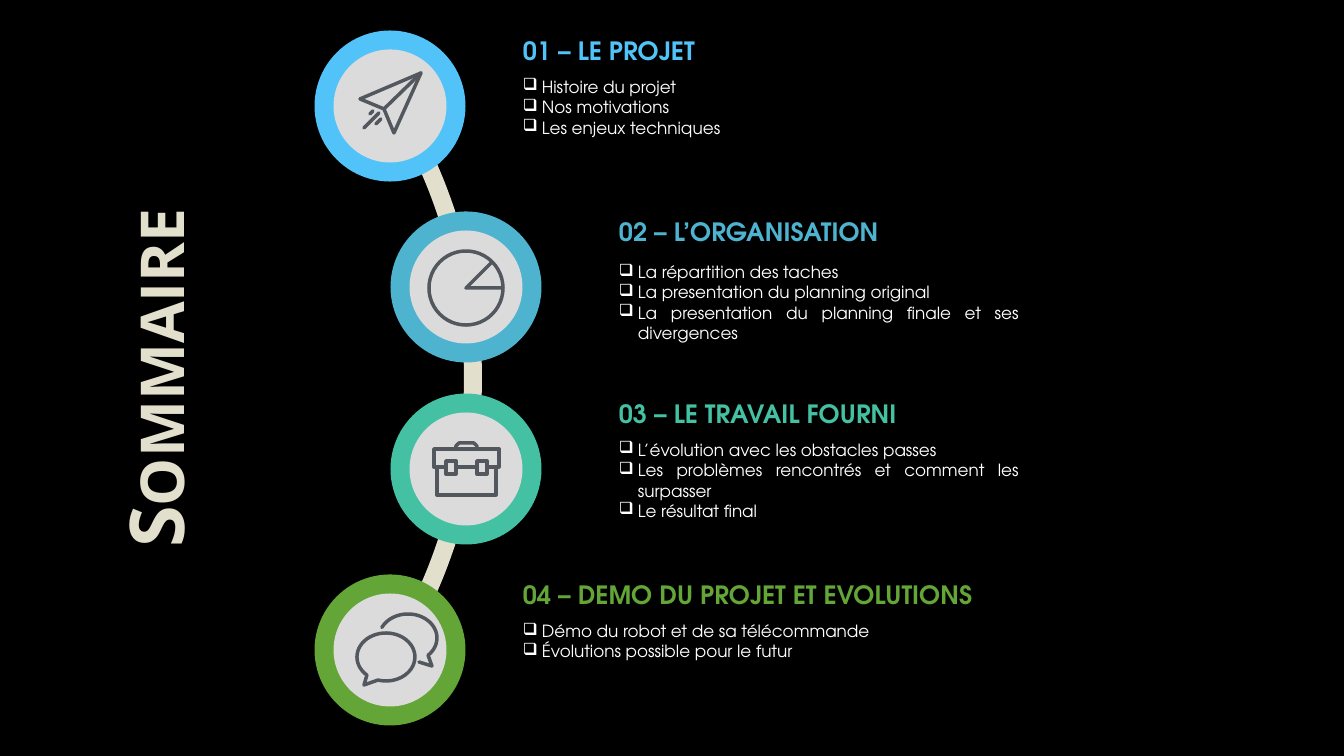
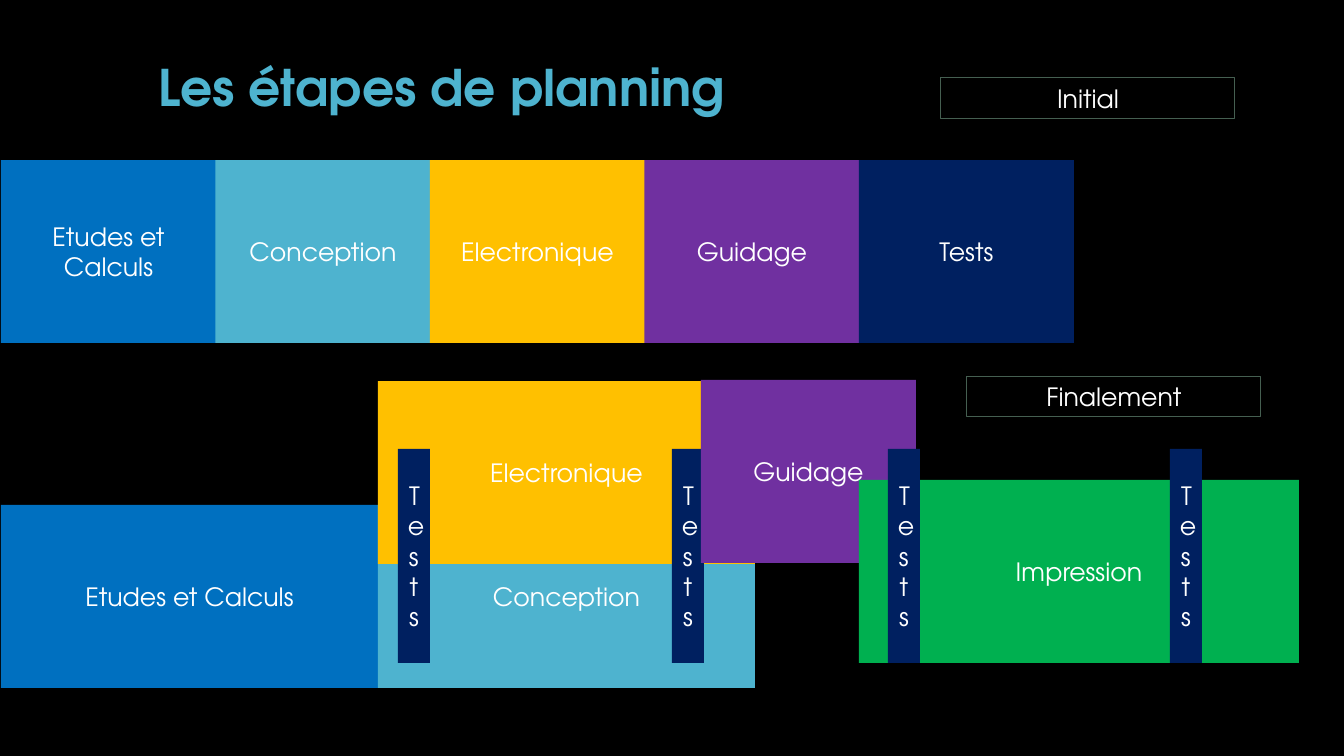
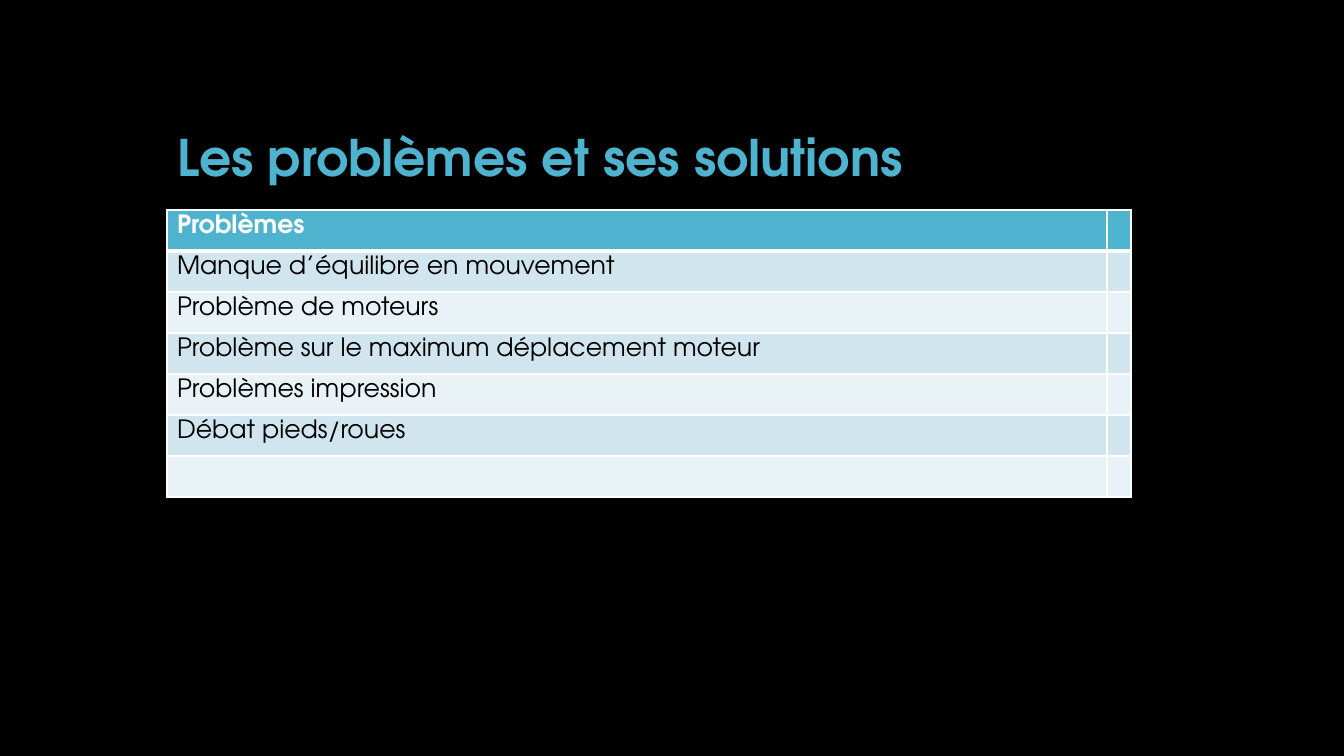
"""Build three dark slides: contents, planning steps, and a table of problems."""
from math import cos, radians, sin

from lxml.etree import SubElement
from pptx import Presentation
from pptx.dml.color import RGBColor
from pptx.enum.shapes import MSO_SHAPE as Shape
from pptx.enum.text import MSO_ANCHOR as Anchor, MSO_AUTO_SIZE as AutoSize, PP_ALIGN as Align
from pptx.oxml import parse_xml
from pptx.oxml.ns import nsdecls, qn
from pptx.util import Emu, Pt

BLACK = RGBColor(0x00, 0x00, 0x00)
WHITE = RGBColor(0xFF, 0xFF, 0xFF)
CREAM = RGBColor(0xE2, 0xDF, 0xCC)
SKY = RGBColor(0x51, 0xC3, 0xF9)
TEAL = RGBColor(0x4E, 0xB3, 0xCF)
MINT = RGBColor(0x44, 0xC1, 0xA3)
LEAF = RGBColor(0x63, 0xA5, 0x37)
DISC = RGBColor(0xDB, 0xDB, 0xDB)
ICON = RGBColor(0x53, 0x58, 0x5F)
BLUE = RGBColor(0x00, 0x70, 0xC0)
AMBER = RGBColor(0xFF, 0xC0, 0x00)
PURPLE = RGBColor(0x70, 0x30, 0xA0)
NAVY = RGBColor(0x00, 0x20, 0x60)
GREEN = RGBColor(0x00, 0xB0, 0x50)
LABEL_LINE = RGBColor(0x45, 0x5F, 0x51)
ROW_DARK = RGBColor(0xD0, 0xE5, 0xED)
ROW_LIGHT = RGBColor(0xE9, 0xF2, 0xF6)

FONT = "TeX Gyre Adventor"
TITLE_FONT = "Open Sans"
PX_PER_INCH = 100.8
SLIDE_W, SLIDE_H = 1344, 756
TITLE_ONLY = 5

RING_SIZE, DISC_SIZE = 151, 113
ARC_X, ARC_Y, ARC_INNER, ARC_OUTER = -50, 378, 514, 532
ARC_SPANS = [(-25, -17), (-3, 3), (17, 25)]


def arc(x, y, radius_x, radius_y, start, end, steps=48):
    angles = [radians(start + (end - start) * i / steps) for i in range(steps + 1)]
    return [(x + radius_x * cos(a), y + radius_y * sin(a)) for a in angles]


def box(left, top, right, bottom):
    return [(left, top), (right, top), (right, bottom), (left, bottom)]


PLANE = [
    ([(31, -33), (-30, -7), (-6, 3), (4, 27)], True),
    ([(-6, 3), (31, -33)], False),
    ([(-26, 22), (-11, 7)], False),
    ([(-14, 18), (-9, 13)], False),
    ([(-20, 8), (-17, 5)], False),
]
PIE = [
    (arc(0, 1, 37, 37, 0, 360), True),
    ([(37, 1), (0, 1), (26, -25)], False),
]
BRIEFCASE = [
    ([(-20, -2), (-32, -2), (-32, -20), (33, -20), (33, -2), (21, -2)], False),
    ([(-10, -2), (11, -2)], False),
    ([(-29, -2), (-29, 26), (30, 26), (30, -2)], False),
    ([(-10, -20), (-10, -23), (-7, -26), (8, -26), (11, -23), (11, -20)], False),
    (box(-20, -8, -10, 5), True),
    (box(11, -8, 21, 5), True),
]
BUBBLES = [
    ([(-26, 35)] + arc(-4, 7, 29, 24, 131, 466), True),
    (arc(18, -12, 29, 24, 206, 406) + [(42, 16), (29, 12)], False),
]

SECTIONS = [
    dict(center=(390, 106), color=SKY, icon=PLANE, left=513, width=194, body_top=72,
         heading="01 – LE PROJET",
         items=["Histoire du projet", "Nos motivations", "Les enjeux techniques"]),
    dict(center=(466, 287), color=TEAL, icon=PIE, left=609, width=286, body_top=257,
         heading="02 – L’ORGANISATION",
         items=["La répartition des taches", "La presentation du planning original",
                "La presentation du planning finale et ses divergences"]),
    dict(center=(466, 469), color=MINT, icon=BRIEFCASE, left=609, width=304, body_top=435,
         heading="03 – LE TRAVAIL FOURNI",
         items=["L’évolution avec les obstacles passes",
                "Les problèmes rencontrés et comment les surpasser", "Le résultat final"]),
    dict(center=(390, 650), color=LEAF, icon=BUBBLES, left=513, width=475, body_top=616,
         heading="04 – DEMO DU PROJET ET EVOLUTIONS",
         items=["Démo du robot et de sa télécommande", "Évolutions possible pour le futur"]),
]

STEP_W, STEP_H = 215, 183
LONG_STEP_W = 377
TEST_BAR = (32, 214)
INITIAL_STEPS = [("Etudes et Calculs", BLUE), ("Conception", TEAL), ("Electronique", AMBER),
                 ("Guidage", PURPLE), ("Tests", NAVY)]
FINAL_STEPS = [
    ("Etudes et Calculs", BLUE, 1, 505, LONG_STEP_W, STEP_H),
    ("Conception", TEAL, 378, 505, LONG_STEP_W, STEP_H),
    ("Electronique", AMBER, 378, 381, LONG_STEP_W, STEP_H),
    ("Tests", NAVY, 398, 449, *TEST_BAR),
    ("Tests", NAVY, 672, 449, *TEST_BAR),
    ("Guidage", PURPLE, 701, 380, STEP_W, STEP_H),
    ("Impression", GREEN, 859, 480, 440, STEP_H),
    ("Tests", NAVY, 888, 449, *TEST_BAR),
    ("Tests", NAVY, 1170, 449, *TEST_BAR),
]
PLAN_LABELS = [("Initial", 941, 78), ("Finalement", 967, 376)]

PROBLEMS = ["Problèmes", "Manque d’équilibre en mouvement", "Problème de moteurs",
            "Problème sur le maximum déplacement moteur", "Problèmes impression",
            "Débat pieds/roues", ""]
COLUMN_WIDTHS = [940, 24]
ROW_H = 41


def px(value):
    return Emu(round(value * 914400 / PX_PER_INCH))


def place(*lengths):
    return [px(length) for length in lengths]


def write(frame, *lines, size=18, color=WHITE, bold=False, font=FONT, align=Align.LEFT,
          anchor=Anchor.TOP, wrap=True, fit=AutoSize.NONE, spacing=None, bullet=None,
          small_caps=False):
    frame.word_wrap = wrap
    frame.auto_size = fit
    frame.vertical_anchor = anchor
    for index, line in enumerate(lines):
        paragraph = frame.add_paragraph() if index else frame.paragraphs[0]
        paragraph.alignment = align
        if spacing:
            paragraph.line_spacing = spacing
        if bullet:
            properties = paragraph._p.get_or_add_pPr()
            properties.set("marL", str(px(19)))
            properties.set("indent", str(-px(19)))
            SubElement(properties, qn("a:buChar")).set("char", bullet)
        run = paragraph.add_run()
        run.text = line
        run.font.size = Pt(size)
        run.font.bold = bold
        run.font.name = font
        run.font.color.rgb = color
        if small_caps:
            run._r.get_or_add_rPr().set("cap", "small")


def paint(shape, fill=None, line=None, line_width=0.75):
    shape.shadow.inherit = False
    if fill is None:
        shape.fill.background()
    else:
        shape.fill.solid()
        shape.fill.fore_color.rgb = fill
    if line is None:
        shape.line.fill.background()
    else:
        shape.line.color.rgb = line
        shape.line.width = Pt(line_width)
    return shape


def add_title_slide(presentation, title, position, **text_format):
    slide = presentation.slides.add_slide(presentation.slide_layouts[TITLE_ONLY])
    shape = slide.shapes.title
    shape.left, shape.top, shape.width, shape.height = place(*position)
    style = dict(size=36, color=TEAL, bold=True, anchor=Anchor.BOTTOM, spacing=0.9)
    write(shape.text_frame, title, **{**style, **text_format})
    return slide


def add_outline(slide, contours, x=0, y=0):
    builder = None
    for points, closed in contours:
        start, *others = [(px(x + dx), px(y + dy)) for dx, dy in points]
        if builder is None:
            builder = slide.shapes.build_freeform(*start)
        else:
            builder.move_to(*start)
        builder.add_line_segments(others, close=closed)
    return builder.convert_to_shape()


def add_circle(slide, center, size, color):
    left, top = (value - size / 2 for value in center)
    paint(slide.shapes.add_shape(Shape.OVAL, *place(left, top, size, size)), color)


def add_text(slide, position, *lines, **text_format):
    frame = slide.shapes.add_textbox(*place(*position)).text_frame
    write(frame, *lines, **text_format)


def add_block(slide, text, position, **colors):
    shape = paint(slide.shapes.add_shape(Shape.RECTANGLE, *place(*position)), **colors)
    write(shape.text_frame, text, align=Align.CENTER, anchor=Anchor.MIDDLE)


def build_contents(presentation):
    slide = add_title_slide(presentation, "Sommaire", (-182, 305, 673, 146), size=54,
                            color=CREAM, font=TITLE_FONT, align=Align.CENTER,
                            anchor=Anchor.MIDDLE, spacing=1.0, small_caps=True)
    slide.shapes.title.rotation = 270
    for start, end in ARC_SPANS:
        outer = arc(ARC_X, ARC_Y, ARC_OUTER, ARC_OUTER, start, end)
        inner = arc(ARC_X, ARC_Y, ARC_INNER, ARC_INNER, end, start)
        paint(add_outline(slide, [(outer + inner, True)]), CREAM)
    for section in SECTIONS:
        center, color, left = section["center"], section["color"], section["left"]
        add_circle(slide, center, RING_SIZE, color)
        add_circle(slide, center, DISC_SIZE, DISC)
        icon = paint(add_outline(slide, section["icon"], *center), line=ICON, line_width=2.5)
        line = icon.line._get_or_add_ln()
        line.set("cap", "rnd")
        SubElement(line, qn("a:round"))
        add_text(slide, (left, center[1] - 76, section["width"], 40), section["heading"],
                 color=color, bold=True, wrap=False, fit=AutoSize.SHAPE_TO_FIT_TEXT)
        add_text(slide, (left, section["body_top"], 420, 72), *section["items"], size=12,
                 align=Align.JUSTIFY, bullet="❑", fit=AutoSize.SHAPE_TO_FIT_TEXT)


def build_planning(presentation):
    slide = add_title_slide(presentation, "Les étapes de planning", (148, 30, 1008, 93))
    for index, (text, color) in enumerate(INITIAL_STEPS):
        add_block(slide, text, (1 + index * 214.5, 160, STEP_W, STEP_H), fill=color)
    for text, color, *position in FINAL_STEPS:
        add_block(slide, text, position, fill=color)
    for text, left, top in PLAN_LABELS:
        add_block(slide, text, (left, top, 294, 41), line=LABEL_LINE)


def format_cell(cell, fill, borders):
    properties = cell._tc.get_or_add_tcPr()
    for index, (side, width) in enumerate(borders.items()):
        properties.insert(index, parse_xml(
            f'<a:ln{side} {nsdecls("a")} w="{Pt(width)}"><a:solidFill>'
            f'<a:srgbClr val="{WHITE}"/></a:solidFill></a:ln{side}>'))
    cell.fill.solid()
    cell.fill.fore_color.rgb = fill


def build_problems(presentation):
    slide = add_title_slide(presentation, "Les problèmes et ses solutions", (167, 42, 1008, 151))
    table = slide.shapes.add_table(
        len(PROBLEMS), len(COLUMN_WIDTHS),
        *place(167, 210, sum(COLUMN_WIDTHS), ROW_H * len(PROBLEMS))).table
    for column, width in zip(table.columns, COLUMN_WIDTHS):
        column.width = px(width)
    for index, (row, problem) in enumerate(zip(table.rows, PROBLEMS)):
        row.height = px(ROW_H)
        header = index == 0
        fill = TEAL if header else ROW_DARK if index % 2 else ROW_LIGHT
        borders = dict(L=1, R=1, T=3 if index == 1 else 1, B=3 if header else 1)
        for cell in row.cells:
            format_cell(cell, fill, borders)
        if problem:
            write(row.cells[0].text_frame, problem, bold=header,
                  color=WHITE if header else BLACK)


def main():
    presentation = Presentation()
    presentation.slide_width, presentation.slide_height = place(SLIDE_W, SLIDE_H)
    background = presentation.slide_master.background.fill
    background.solid()
    background.fore_color.rgb = BLACK
    build_contents(presentation)
    build_planning(presentation)
    build_problems(presentation)
    presentation.save("out.pptx")


if __name__ == "__main__":
    main()
